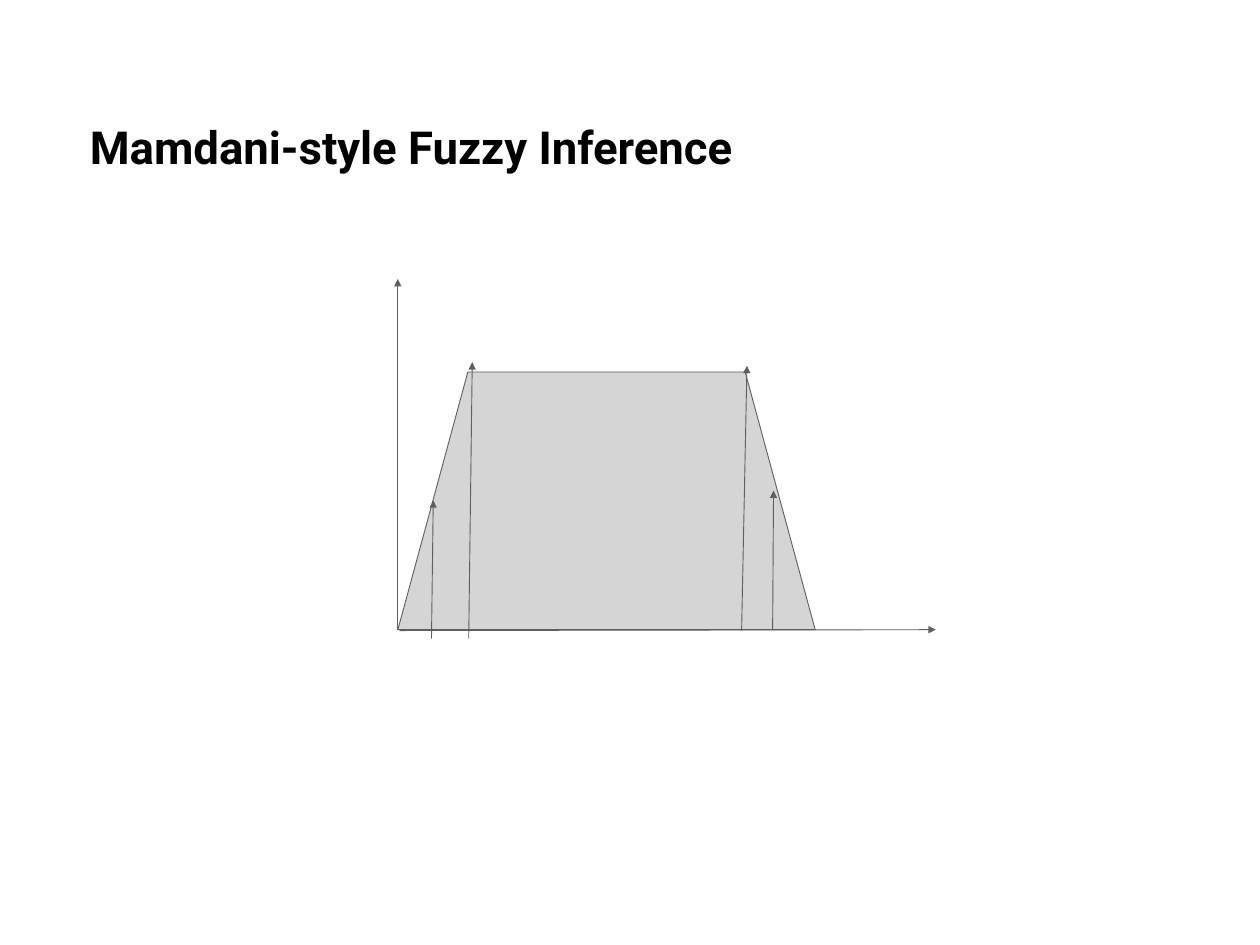
from dataclasses import dataclass
from lxml import etree
from pptx import Presentation
from pptx import util as u
from pptx.dml.color import RGBColor
from pptx.enum import shapes, text
from pptx.oxml.ns import qn


@dataclass(frozen=True)
class Theme:
    font: str = "Roboto"
    title_size: float = 37
    line_width: float = 0.75
    ink: RGBColor = RGBColor(0x00, 0x00, 0x00)
    outline: RGBColor = RGBColor(0x5E, 0x5E, 0x5E)
    membership: RGBColor = RGBColor(0xD6, 0xD5, 0xD5)
    paper: RGBColor = RGBColor(0xFF, 0xFF, 0xFF)


THEME = Theme()


@dataclass(frozen=True)
class Box:
    left: float
    top: float
    width: float
    height: float

    def place(self, part):
        apply_format(part, {name: u.Inches(getattr(self, name))
                            for name in ("left", "top", "width", "height")})


def apply_format(target, values):
    for name, value in values.items():
        setattr(target, name, value)


def style_outline(line):
    line.width = u.Pt(THEME.line_width)
    line.color.rgb = THEME.outline


def add_title(slide, box, wording):
    title = slide.shapes.title
    box.place(title)
    frame = title.text_frame
    frame.text = wording
    margins = ("margin_left", "margin_top", "margin_right", "margin_bottom")
    apply_format(frame, dict.fromkeys(margins, u.Inches(0.06)))
    apply_format(frame, {"word_wrap": True,
                         "auto_size": text.MSO_AUTO_SIZE.NONE,
                         "vertical_anchor": text.MSO_ANCHOR.MIDDLE})
    heading = frame.paragraphs[0]
    apply_format(heading, {"alignment": text.PP_ALIGN.CENTER,
                           "line_spacing": 1.0, "space_before": u.Pt(0)})
    font = heading.runs[0].font
    apply_format(font, {"name": THEME.font, "size": u.Pt(THEME.title_size),
                        "bold": True})
    font.color.rgb = THEME.ink


def add_arrow(slide, start, end):
    arrow = slide.shapes.add_connector(
        shapes.MSO_CONNECTOR.STRAIGHT,
        *(u.Inches(value) for value in (*start, *end)))
    style_outline(arrow.line)
    etree.SubElement(arrow.line._get_or_add_ln(), qn("a:tailEnd"), type="triangle")
    etree.SubElement(arrow._element.spPr, qn("a:effectLst"))


def add_membership(slide, box, inset):
    membership = slide.shapes.add_shape(shapes.MSO_SHAPE.TRAPEZOID, 0, 0, 0, 0)
    box.place(membership)
    membership.adjustments[0] = inset / min(box.width, box.height)
    membership.shadow.inherit = False
    membership.fill.solid()
    membership.fill.fore_color.rgb = THEME.membership
    style_outline(membership.line)


def add_fuzzy_plot(slide, box):
    base = box.top + box.height
    add_membership(slide, Box(box.left, base - 2.91, 4.71, 2.91), inset=0.79)

    x_axis = ((0.02, -0.01), (box.width, 0))
    y_axis = ((0, 0), (0, box.height))
    level_arrows = (
        ((0.80, -0.10), (0.84, 3.02)),
        ((3.88, -0.01), (3.94, 2.98)),
        ((0.38, -0.10), (0.40, 1.46)),
        ((4.23, 0), (4.24, 1.57)),
    )
    for ends in (x_axis, y_axis, *level_arrows):
        add_arrow(slide, *((box.left + across, base - up) for across, up in ends))


def main():
    deck = Presentation()
    deck.slide_width, deck.slide_height = u.Inches(14.22), u.Inches(10.67)
    slide = deck.slides.add_slide(deck.slide_layouts.get_by_name("Title Only"))
    slide.background.fill.solid()
    slide.background.fill.fore_color.rgb = THEME.paper
    add_title(slide, Box(0.76, 1.29, 7.76, 0.73), "Mamdani-style Fuzzy Inference")
    add_fuzzy_plot(slide, Box(4.49, 3.15, 6.07, 3.96))
    deck.save("out.pptx")


if __name__ == "__main__":
    main()
